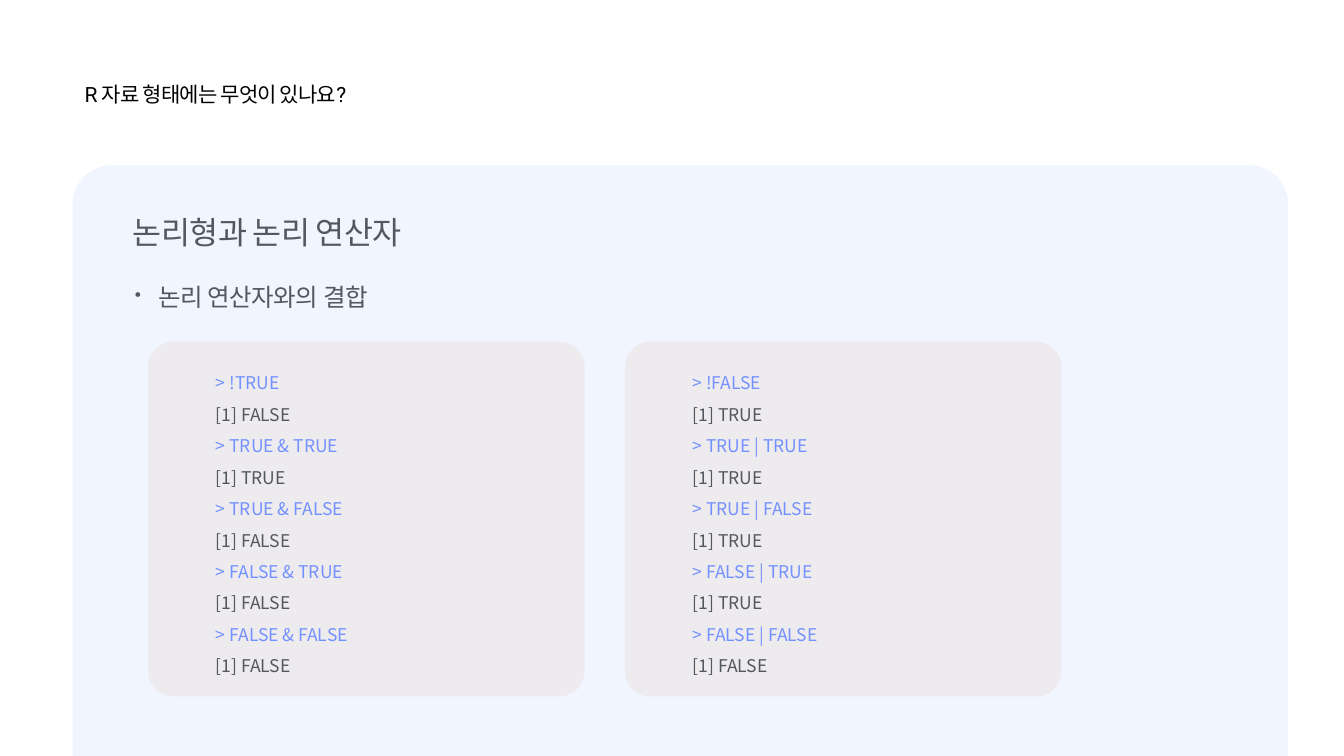
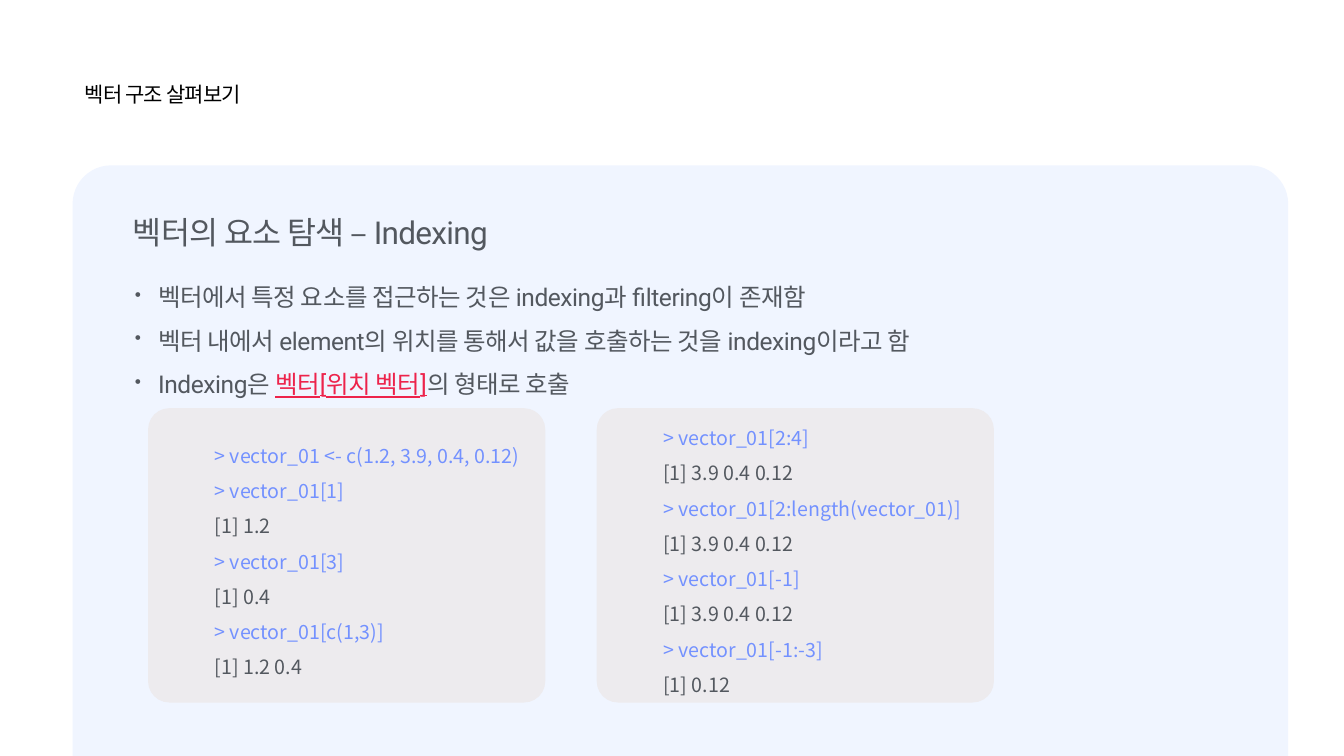
from lxml.etree import SubElement
from pptx import Presentation
from pptx.dml.color import RGBColor
from pptx.enum.shapes import MSO_SHAPE
from pptx.enum.text import MSO_ANCHOR, MSO_AUTO_SIZE, PP_ALIGN
from pptx.oxml.ns import qn
from pptx.util import Inches, Pt

BLACK = RGBColor(0x00, 0x00, 0x00)
GREY = RGBColor(0x53, 0x58, 0x5F)
BLUE = RGBColor(0x73, 0x91, 0xFF)
RED = RGBColor(0xED, 0x23, 0x4B)
PANEL = RGBColor(0xF0, 0xF5, 0xFF)
CODE_BG = RGBColor(0xED, 0xEB, 0xEE)
LATIN, KOREAN = "Roboto", "Noto Sans CJK KR"


class Deck:
    """Style and current slide; all lengths are percentages of the slide."""

    def __init__(self):
        self.prs = Presentation()
        self.prs.slide_width = Inches(13.33)
        self.prs.slide_height = Inches(7.5)

    def box(self, x, y, w, h):
        """Turn percentages into left, top, width and height."""
        sw, sh = self.prs.slide_width, self.prs.slide_height
        return [int(v * side / 100)
                for v, side in ((x, sw), (y, sh), (w, sw), (h, sh))]

    def style(self, p, size, color, latin=LATIN, spacing=0):
        """Set the paragraph's font; spacing is in hundredths of a point."""
        p.font.size, p.font.name = Pt(size), latin
        p.font.color.rgb = color
        props = p._p.pPr.find(qn("a:defRPr"))
        if spacing:
            props.set("spc", str(spacing))
        SubElement(props, qn("a:ea"), typeface=KOREAN)

    def new_slide(self, header, title):
        self.s = self.prs.slides.add_slide(self.prs.slide_layouts[6])
        self.panel(5.4, 21.87, 90.45, 83.73, 0.061, PANEL)
        p = self.text(6.22, 10.67, 27.2, 3.6, 0.01).paragraphs[0]
        p.text = header
        self.style(p, 15, BLACK, spacing=-60)
        p = self.text(9.82, 28, 51.15, 5.2, 0.01).paragraphs[0]
        p.text = title
        self.style(p, 22.5, GREY, spacing=-50)

    def panel(self, x, y, w, h, radius, color):
        sp = self.s.shapes.add_shape(MSO_SHAPE.ROUNDED_RECTANGLE,
                                     *self.box(x, y, w, h))
        sp.adjustments[0] = radius
        sp.shadow.inherit = False
        sp.fill.solid()
        sp.fill.fore_color.rgb = color
        sp.line.fill.background()
        return sp.text_frame

    def text(self, x, y, w, h, inset):
        tf = self.s.shapes.add_textbox(*self.box(x, y, w, h)).text_frame
        tf.word_wrap = True
        tf.auto_size = MSO_AUTO_SIZE.SHAPE_TO_FIT_TEXT
        tf.margin_left = tf.margin_right = Inches(inset)
        tf.margin_top = tf.margin_bottom = Inches(inset)
        return tf

    def bullets(self, *items):
        """Each item is a tuple of parts; every second part is stressed."""
        tf = self.text(9.82, 36.93, 86.55, 4.67 + 5.8 * (len(items) - 1), 0.03)
        for i, parts in enumerate(items):
            p = tf.add_paragraph() if i else tf.paragraphs[0]
            props = p._p.get_or_add_pPr()
            props.set("marL", str(Inches(0.23)))
            props.set("indent", str(-Inches(0.23)))
            SubElement(props, qn("a:buSzPct"), val="75000")
            SubElement(props, qn("a:buChar"), char="•")
            p.space_after = Pt(10)
            self.style(p, 17.5, GREY, spacing=-30)
            for j, part in enumerate(parts):
                r = p.add_run()
                r.text = part
                if j % 2:
                    r.font.color.rgb = RED
                    r.font.underline = True

    def code_row(self, y, w, h, gap, size, *listings):
        """Place listings side by side, with the input lines in blue."""
        for column, listing in enumerate(listings):
            tf = self.panel(11.02 + column * (w + gap), y, w, h, 0.072, CODE_BG)
            tf.word_wrap = True
            tf.vertical_anchor = MSO_ANCHOR.MIDDLE
            for i, line in enumerate(listing.strip().splitlines()):
                p = tf.add_paragraph() if i else tf.paragraphs[0]
                p.text = line
                p.alignment = PP_ALIGN.LEFT
                p.line_spacing = 1.5
                p._p.pPr.set("marL", str(Inches(0.5)))
                self.style(p, size, BLUE if line.startswith(">") else GREY, KOREAN)


NOT_AND = """
> !TRUE
[1] FALSE
> TRUE & TRUE
[1] TRUE
> TRUE & FALSE
[1] FALSE
> FALSE & TRUE
[1] FALSE
> FALSE & FALSE
[1] FALSE
"""
NOT_OR = """
> !FALSE
[1] TRUE
> TRUE | TRUE
[1] TRUE
> TRUE | FALSE
[1] TRUE
> FALSE | TRUE
[1] TRUE
> FALSE | FALSE
[1] FALSE
"""
PICK_ITEMS = """
> vector_01 <- c(1.2, 3.9, 0.4, 0.12)
> vector_01[1]
[1] 1.2
> vector_01[3]
[1] 0.4
> vector_01[c(1,3)]
[1] 1.2 0.4
"""
PICK_RANGES = """
> vector_01[2:4]
[1] 3.9 0.4 0.12
> vector_01[2:length(vector_01)]
[1] 3.9 0.4 0.12
> vector_01[-1]
[1] 3.9 0.4 0.12
> vector_01[-1:-3]
[1] 0.12
"""


def main():
    deck = Deck()

    deck.new_slide("R 자료 형태에는 무엇이 있나요?", "논리형과 논리 연산자")
    deck.bullets(("논리 연산자와의 결합",))
    deck.code_row(45.2, 32.48, 46.93, 3, 12.5, NOT_AND, NOT_OR)

    deck.new_slide("벡터 구조 살펴보기", "벡터의 요소 탐색 – Indexing")
    deck.bullets(
        ("벡터에서 특정 요소를 접근하는 것은 indexing과 filtering이 존재함",),
        ("벡터 내에서 element의 위치를 통해서 값을 호출하는 것을 indexing이라고 함",),
        ("Indexing은 ", "벡터[위치 벡터]", "의 형태로 호출"))
    deck.code_row(54, 29.55, 38.93, 3.83, 14, PICK_ITEMS, PICK_RANGES)

    deck.prs.save("out.pptx")


if __name__ == "__main__":
    main()
